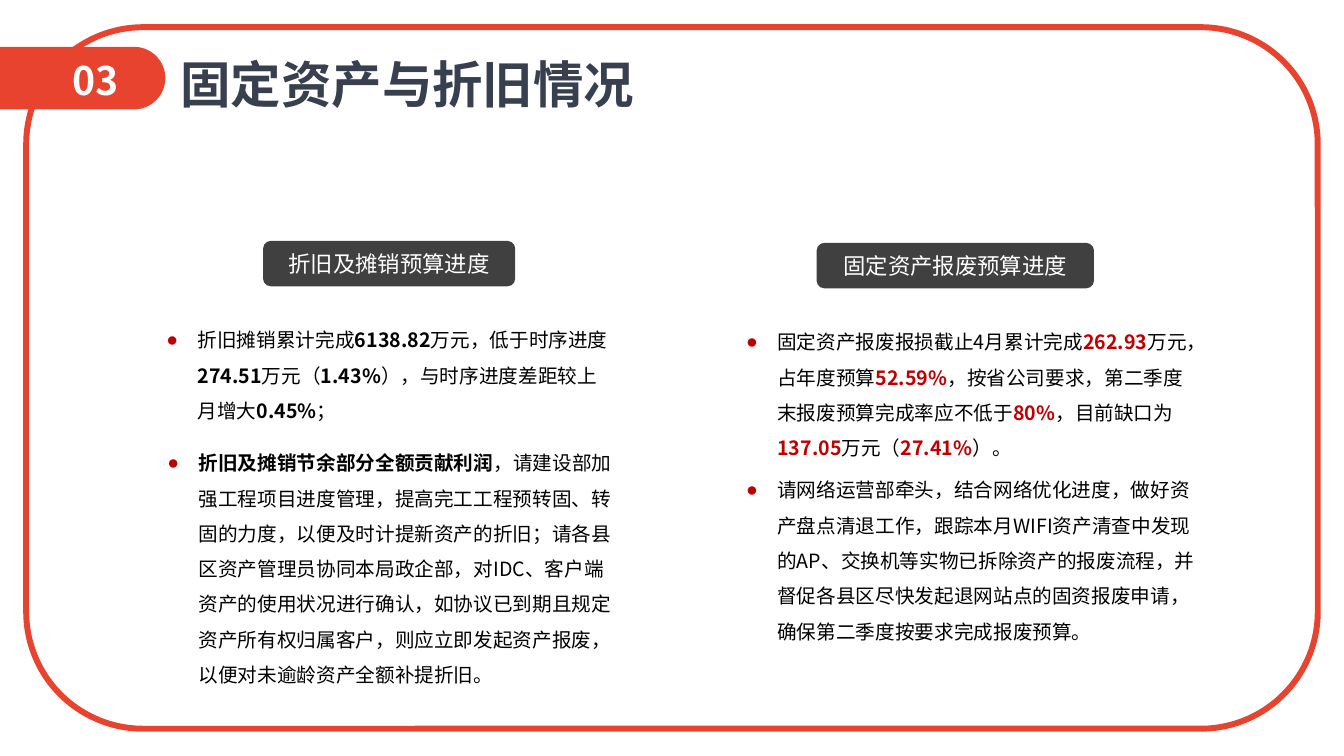
from dataclasses import dataclass
from math import cos, radians, sin

from lxml import etree
from pptx import Presentation
from pptx.dml.color import RGBColor
from pptx.enum.shapes import MSO_SHAPE
from pptx.enum.text import MSO_ANCHOR, MSO_AUTO_SIZE, PP_ALIGN
from pptx.oxml.ns import qn
from pptx.util import Inches, Pt

ROUND = MSO_SHAPE.ROUNDED_RECTANGLE
TOP, MIDDLE = MSO_ANCHOR.TOP, MSO_ANCHOR.MIDDLE
GROW, FIXED = MSO_AUTO_SIZE.SHAPE_TO_FIT_TEXT, MSO_AUTO_SIZE.NONE
LEFT, CENTER = PP_ALIGN.LEFT, PP_ALIGN.CENTER


@dataclass(frozen=True)
class Theme:
    font: str = "Noto Sans CJK SC"
    red: str = "E8432E"
    navy: str = "383F4E"
    grey: str = "404040"
    dark: str = "C00000"
    black: str = "000000"
    white: str = "FFFFFF"
    title: int = 36
    number: int = 28
    label: int = 16
    body: int = 14


THEME = Theme()


@dataclass(frozen=True)
class Box:
    left: float
    top: float
    width: float
    height: float

    def place(self) -> tuple:
        return tuple(map(Inches, (self.left, self.top, self.width, self.height)))


@dataclass(frozen=True)
class Bit:
    text: str
    color: str = THEME.black
    bold: bool = False


@dataclass(frozen=True)
class Label:
    text: str
    box: Box


@dataclass(frozen=True)
class Points:
    holder: int
    box: Box
    items: tuple


def strong(text: str) -> Bit:
    return Bit(text, bold=True)


def alert(text: str) -> Bit:
    return Bit(text, THEME.dark, True)


LABELS = (
    Label("折旧及摊销预算进度", Box(2.61, 2.39, 2.5, 0.45)),
    Label("固定资产报废预算进度", Box(8.1, 2.41, 2.75, 0.45)),
)

LISTS = (
    Points(1, Box(1.55, 3.09, 4.58, 1.16), ((
        Bit("折旧摊销累计完成"), strong("6138.82"),
        Bit("万元，低于时序进度"), strong("274.51"),
        Bit("万元（"), strong("1.43%"),
        Bit("），与时序进度差距较上月增大"), strong("0.45%"), Bit("；"),
    ),)),
    Points(2, Box(1.56, 4.31, 4.69, 2.57), ((
        strong("折旧及摊销节余部分全额贡献利润"),
        Bit("，请建设部加强工程项目进度管理，提高完工工程预转固、转固的力度，"
            "以便及时计提新资产的折旧；请各县区资产管理员协同本局政企部，"
            "对IDC、客户端资产的使用状况进行确认，如协议已到期且规定资产所有权归属客户，"
            "则应立即发起资产报废，以便对未逾龄资产全额补提折旧。"),
    ),)),
    Points(4, Box(7.3, 3.11, 4.66, 3.35), (
        (
            Bit("固定资产报废报损截止4月累计完成"), alert("262.93"),
            Bit("万元，占年度预算"), alert("52.59%"),
            Bit("，按省公司要求，第二季度末报废预算完成率应不低于"), alert("80%"),
            Bit("，目前缺口为"), alert("137.05"),
            Bit("万元（"), alert("27.41%"), Bit("）。"),
        ),
        (
            Bit("请网络运营部牵头，结合网络优化进度，做好资产盘点清退工作，"
                "跟踪本月WIFI资产清查中发现的AP、交换机等实物已拆除资产的报废流程，"
                "并督促各县区尽快发起退网站点的固资报废申请，确保第二季度按要求完成报废预算。"),
        ),
    )),
)


def paint(fill, color: str) -> None:
    fill.solid()
    fill.fore_color.rgb = RGBColor.from_string(color)


def add_bit(para, bit: Bit, size: int) -> None:
    run = para.add_run()
    run.text = bit.text
    font = run.font
    font.size, font.bold, font.name = Pt(size), bit.bold, THEME.font
    font.color.rgb = RGBColor.from_string(bit.color)
    latin = run._r.rPr.find(qn("a:latin"))
    latin.addnext(etree.Element(qn("a:ea"), typeface=THEME.font))


def add_bullet(para) -> None:
    props = para._p.get_or_add_pPr()
    props.set("marL", str(Inches(0.31)))
    props.set("indent", str(-Inches(0.31)))
    tint = etree.SubElement(props, qn("a:buClr"))
    etree.SubElement(tint, qn("a:srgbClr"), val=THEME.dark)
    etree.SubElement(props, qn("a:buChar"), char="●")


def move(shape, box: Box) -> None:
    shape.left, shape.top, shape.width, shape.height = box.place()


def set_frame(frame, wrap: bool, anchor=TOP, size=GROW) -> None:
    frame.word_wrap, frame.vertical_anchor, frame.auto_size = wrap, anchor, size


def draw_tab(slide) -> None:
    mid, end, rad = 0.775, 1.33, 0.31
    arc = [(end + rad * cos(radians(a)), mid + rad * sin(radians(a)))
           for a in range(-90, 91, 5)]
    edge = [(Inches(x), Inches(y)) for x, y in arc + [(0, mid + rad)]]
    pen = slide.shapes.build_freeform(0, Inches(mid - rad))
    pen.add_line_segments(edge, close=True)
    tab = pen.convert_to_shape()
    tab.shadow.inherit = False
    paint(tab.fill, THEME.red)
    tab.line.fill.background()
    text = slide.shapes.add_textbox(*Box(0.62, 0.51, 1.02, 0.57).place())
    set_frame(text.text_frame, True)
    add_bit(text.text_frame.paragraphs[0], Bit("03", THEME.white, True), THEME.number)


def draw_border(slide) -> None:
    border = slide.shapes.add_shape(ROUND, *Box(0.26, 0.27, 12.81, 6.96).place())
    border.shadow.inherit = False
    border.fill.background()
    paint(border.line.fill, THEME.red)
    border.line.width = Pt(4.25)


def draw_title(slide) -> None:
    title = slide.shapes.title
    move(title, Box(1.69, 0.48, 4.7, 0.71))
    frame = title.text_frame
    set_frame(frame, False, TOP, FIXED)
    # Nine wide letters need the full line
    frame.margin_right = 0
    para = frame.paragraphs[0]
    para.alignment, para.space_before = LEFT, Pt(0)
    add_bit(para, Bit("固定资产与折旧情况", THEME.navy, True), THEME.title)


def draw_label(slide, label: Label) -> None:
    shape = slide.shapes.add_shape(ROUND, *label.box.place())
    shape.shadow.inherit = False
    paint(shape.fill, THEME.grey)
    shape.line.fill.background()
    set_frame(shape.text_frame, False, MIDDLE, FIXED)
    para = shape.text_frame.paragraphs[0]
    para.alignment = CENTER
    add_bit(para, Bit(label.text, THEME.white), THEME.label)


def draw_list(slide, points: Points) -> None:
    body = slide.placeholders[points.holder]
    move(body, points.box)
    frame = body.text_frame
    set_frame(frame, True)
    for i, item in enumerate(points.items):
        para = frame.add_paragraph() if i else frame.paragraphs[0]
        add_bullet(para)
        para.alignment, para.line_spacing = LEFT, 1.5
        para.space_before = Pt(5 if i else 0)
        for bit in item:
            add_bit(para, bit, THEME.body)


def main() -> None:
    deck = Presentation()
    deck.slide_width, deck.slide_height = Inches(13.33), Inches(7.5)
    # The comparison layout holds a title and four bodies; three are used
    slide = deck.slides.add_slide(deck.slide_layouts[4])
    spare = slide.placeholders[3].element
    spare.getparent().remove(spare)
    # Header and border
    draw_tab(slide)
    draw_border(slide)
    draw_title(slide)
    # Two columns
    for label in LABELS:
        draw_label(slide, label)
    for points in LISTS:
        draw_list(slide, points)
    deck.save("out.pptx")


if __name__ == "__main__":
    main()
